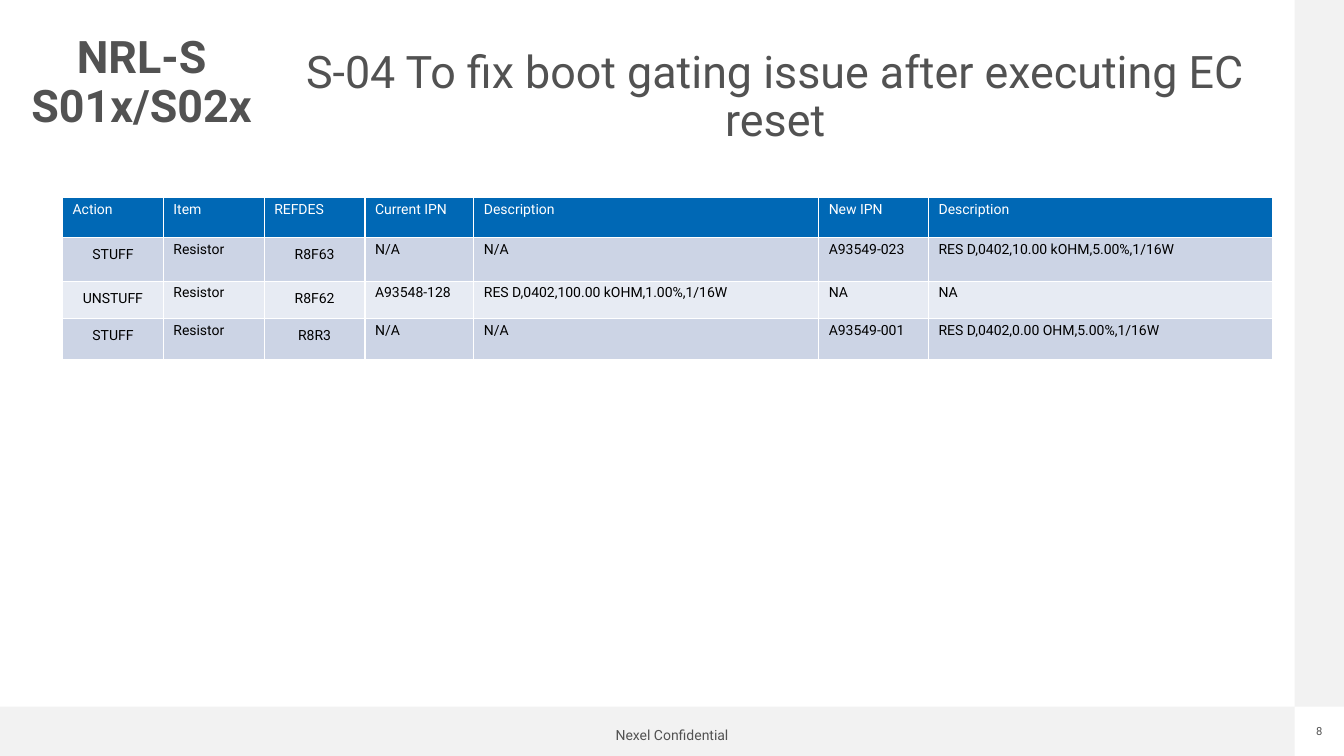
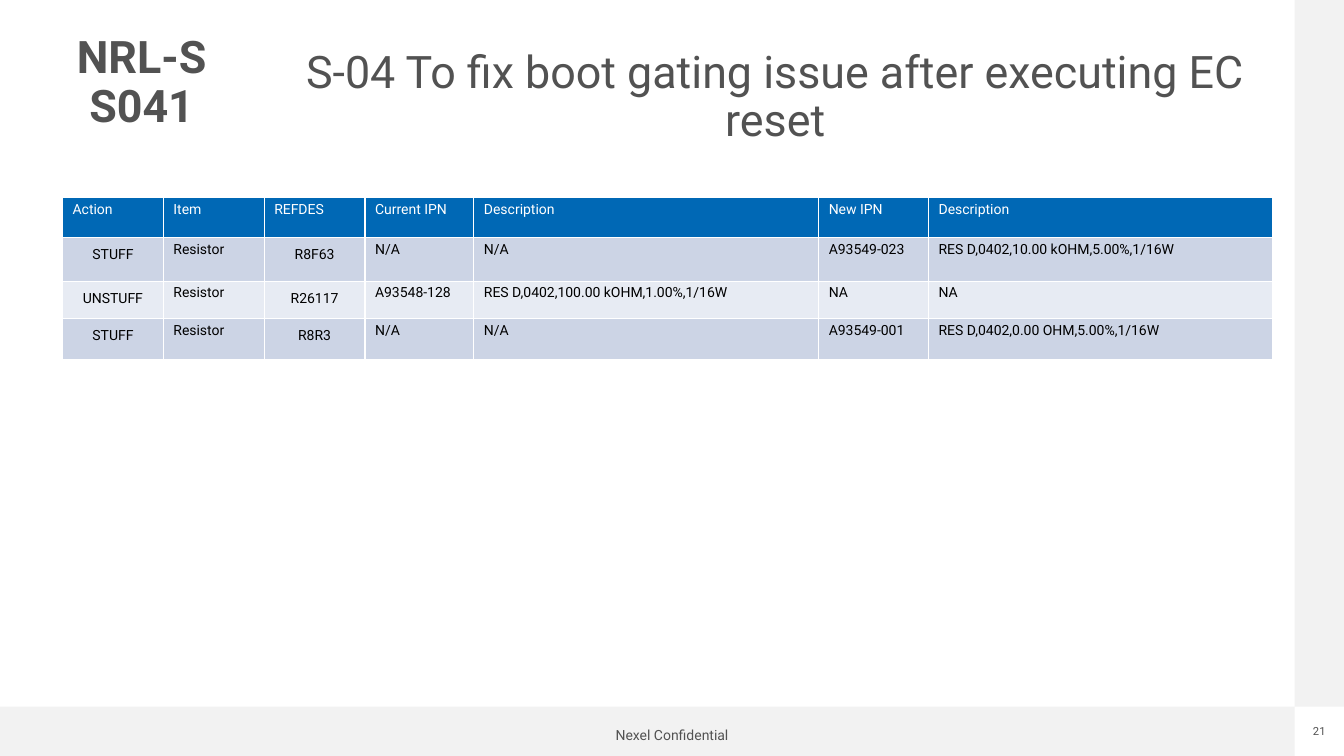
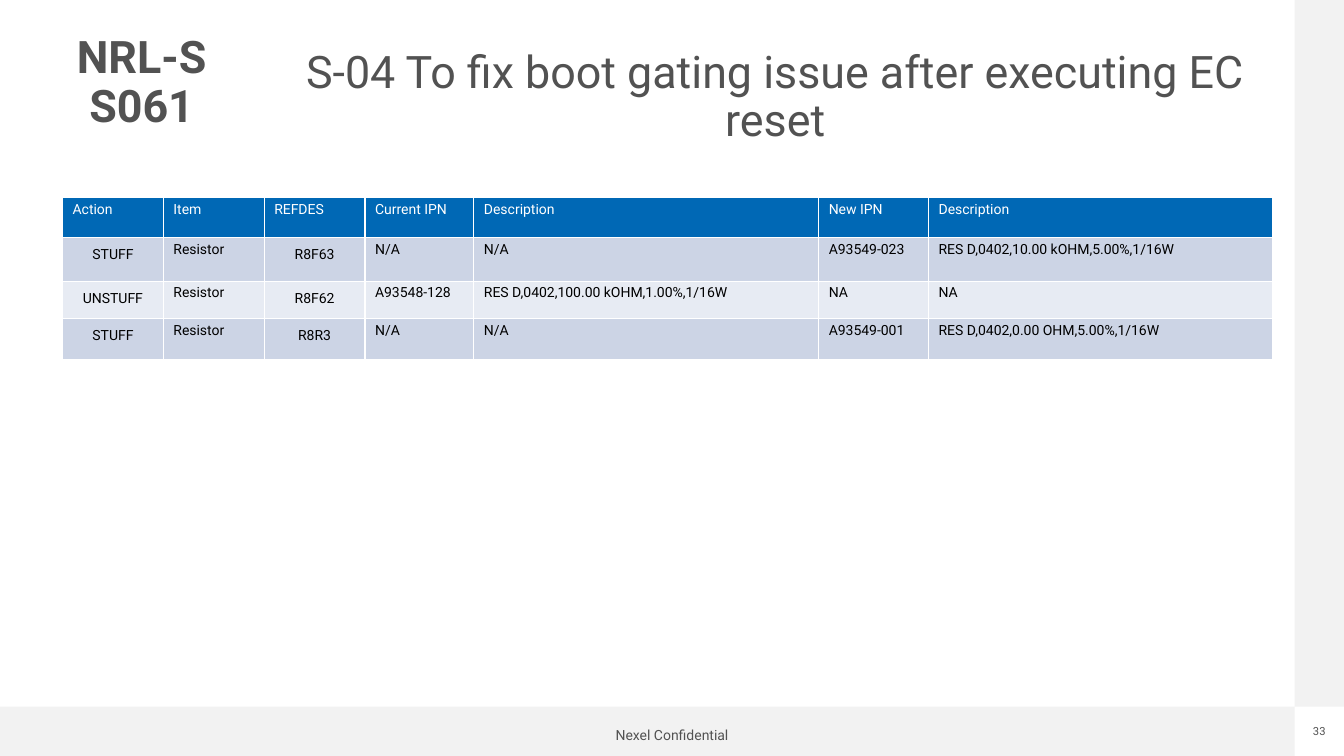
from dataclasses import dataclass

from lxml.etree import SubElement
from pptx import Presentation
from pptx.dml.color import RGBColor
from pptx.enum.shapes import MSO_SHAPE
from pptx.enum.text import MSO_ANCHOR, PP_ALIGN
from pptx.oxml.ns import qn
from pptx.util import Inches, Pt

# Content
TITLE = "S-04 To fix boot gating issue after executing EC reset"
NOTICE = "Nexel Confidential"
HEAD = ("Action", "Item", "REFDES", "Current IPN", "Description",
        "New IPN", "Description")
PAGES = [  # board, page number, part taken off
    ("NRL-S\vS01x/S02x", "8", "R8F62"),
    ("NRL-S\vS041", "21", "R26117"),
    ("NRL-S\vS061", "33", "R8F62"),
]


def list_rows(part):
    return [
        HEAD,
        ("STUFF", "Resistor", "R8F63", "N/A", "N/A",
         "A93549-023", "RES D,0402,10.00 kOHM,5.00%,1/16W"),
        ("UNSTUFF", "Resistor", part, "A93548-128",
         "RES D,0402,100.00 kOHM,1.00%,1/16W", "NA", "NA"),
        ("STUFF", "Resistor", "R8R3", "N/A", "N/A",
         "A93549-001", "RES D,0402,0.00 OHM,5.00%,1/16W"),
    ]


@dataclass(frozen=True)
class Theme:
    font: str = "Roboto"
    gray: str = "525252"
    band: str = "F2F2F2"
    blue: str = "0068B5"
    odd: str = "CCD4E5"
    even: str = "E7EBF3"
    white: str = "FFFFFF"
    black: str = "000000"
    big: int = 32
    small: int = 10
    tiny: int = 8
    lead: float = 0.9


T = Theme()

# Grid, in inches
WIDE, HIGH, EDGE = 13.33, 7.5, 0.49
COLS = (1, 1, 1, 1.08, 3.42, 1.09, 3.41)
ROWS = (0.4, 0.43, 0.37, 0.41)
MID = (0, 2)  # centred columns


def style(para, size, color, align=PP_ALIGN.CENTER, bold=False):
    para.alignment, para.line_spacing = align, T.lead
    font = para.font
    font.name, font.size, font.bold = T.font, Pt(size), bold
    font.color.rgb = RGBColor.from_string(color)


def paint(part, color):
    part.fill.solid()
    part.fill.fore_color.rgb = RGBColor.from_string(color)


def add_text(slide, spot, text, size, bold=False):
    frame = slide.shapes.add_textbox(*map(Inches, spot)).text_frame
    frame.margin_left = frame.margin_right = 0
    frame.margin_top = frame.margin_bottom = 0
    frame.word_wrap = True
    frame.vertical_anchor = MSO_ANCHOR.MIDDLE
    frame.text = text
    style(frame.paragraphs[0], size, T.gray, bold=bold)


def add_frame(slide, page):
    # Bands along the bottom and right edges
    side, base = WIDE - EDGE, HIGH - EDGE
    for spot in ((0, base, side, EDGE), (side, 0, EDGE, base)):
        band = slide.shapes.add_shape(MSO_SHAPE.RECTANGLE, *map(Inches, spot))
        band.shadow.inherit = False
        band.line.fill.background()
        paint(band, T.band)
    # Footer
    add_text(slide, (WIDE / 2 - 1, 7.18, 2, 0.25), NOTICE, T.small)
    add_text(slide, (side, 7.2, EDGE, 0.13), page, T.tiny)


def add_edges(cell):
    props = cell._tc.get_or_add_tcPr()
    for side in ("a:lnL", "a:lnR", "a:lnT", "a:lnB"):
        line = SubElement(props, qn(side), w=str(Pt(1)))
        fill = SubElement(line, qn("a:solidFill"))
        SubElement(fill, qn("a:srgbClr"), val=T.white)


def add_grid(slide, rows):
    table = slide.shapes.add_table(
        len(ROWS), len(COLS), Inches(0.62), Inches(1.96),
        Inches(sum(COLS)), Inches(sum(ROWS))).table
    for col, width in zip(table.columns, COLS):
        col.width = Inches(width)
    for row, height in zip(table.rows, ROWS):
        row.height = Inches(height)
    for r, texts in enumerate(rows):
        for c, text in enumerate(texts):
            cell = table.cell(r, c)
            add_edges(cell)
            paint(cell, T.blue if r == 0 else T.odd if r % 2 else T.even)
            mid = r > 0 and c in MID
            cell.margin_top = cell.margin_bottom = Inches(0.1 if mid else 0.05)
            cell.text = text
            style(cell.text_frame.paragraphs[0], T.small,
                  T.black if r else T.white,
                  PP_ALIGN.CENTER if mid else PP_ALIGN.LEFT)


def main():
    deck = Presentation()
    deck.slide_width, deck.slide_height = Inches(WIDE), Inches(HIGH)
    for board, page, part in PAGES:
        slide = deck.slides.add_slide(deck.slide_layouts[6])
        add_frame(slide, page)
        add_grid(slide, list_rows(part))
        # Titles
        add_text(slide, (2.71, 0.45, 9.96, 1.04), TITLE, T.big)
        add_text(slide, (0.23, 0.31, 2.35, 1.04), board, T.big, bold=True)
    deck.save("out.pptx")


if __name__ == "__main__":
    main()
